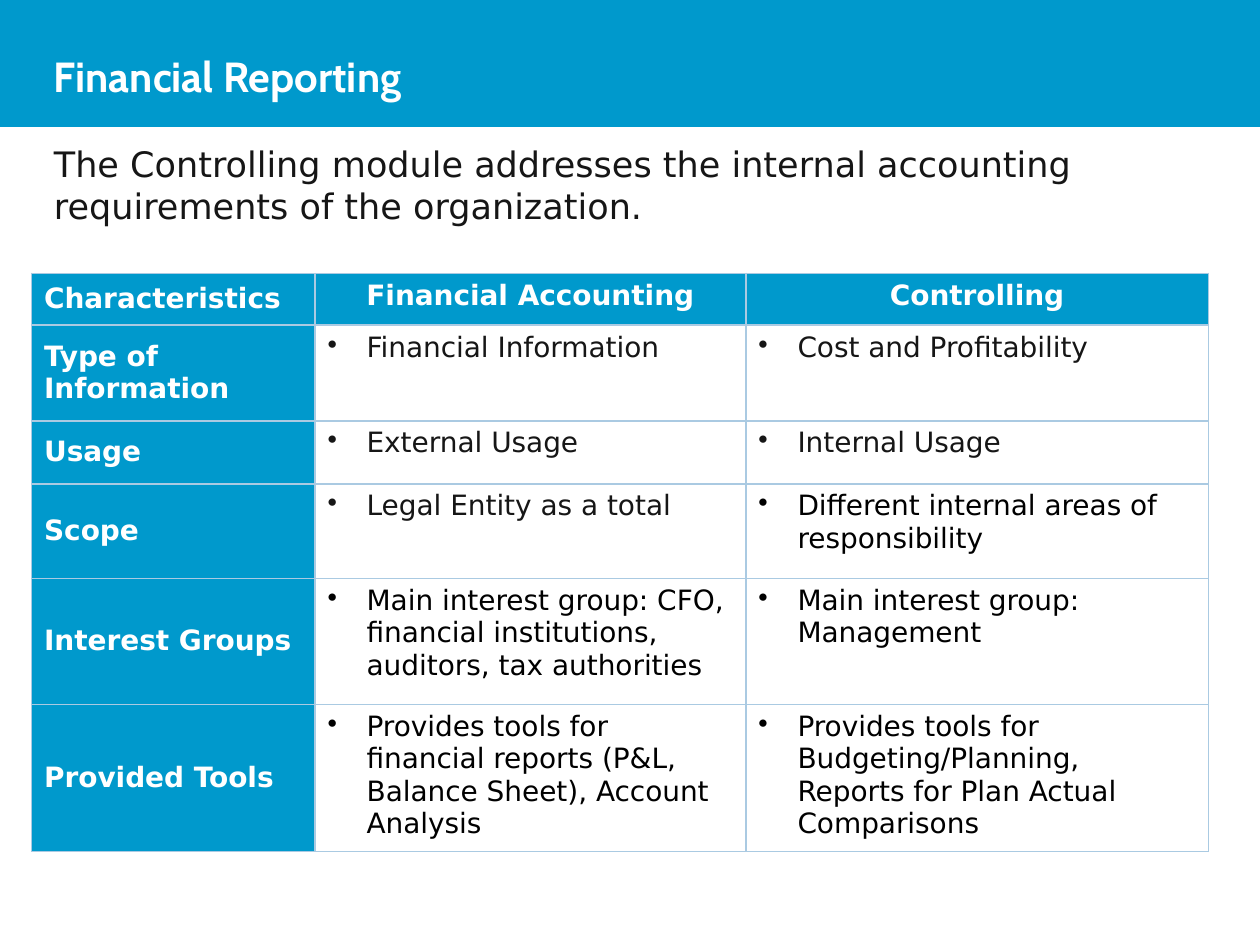
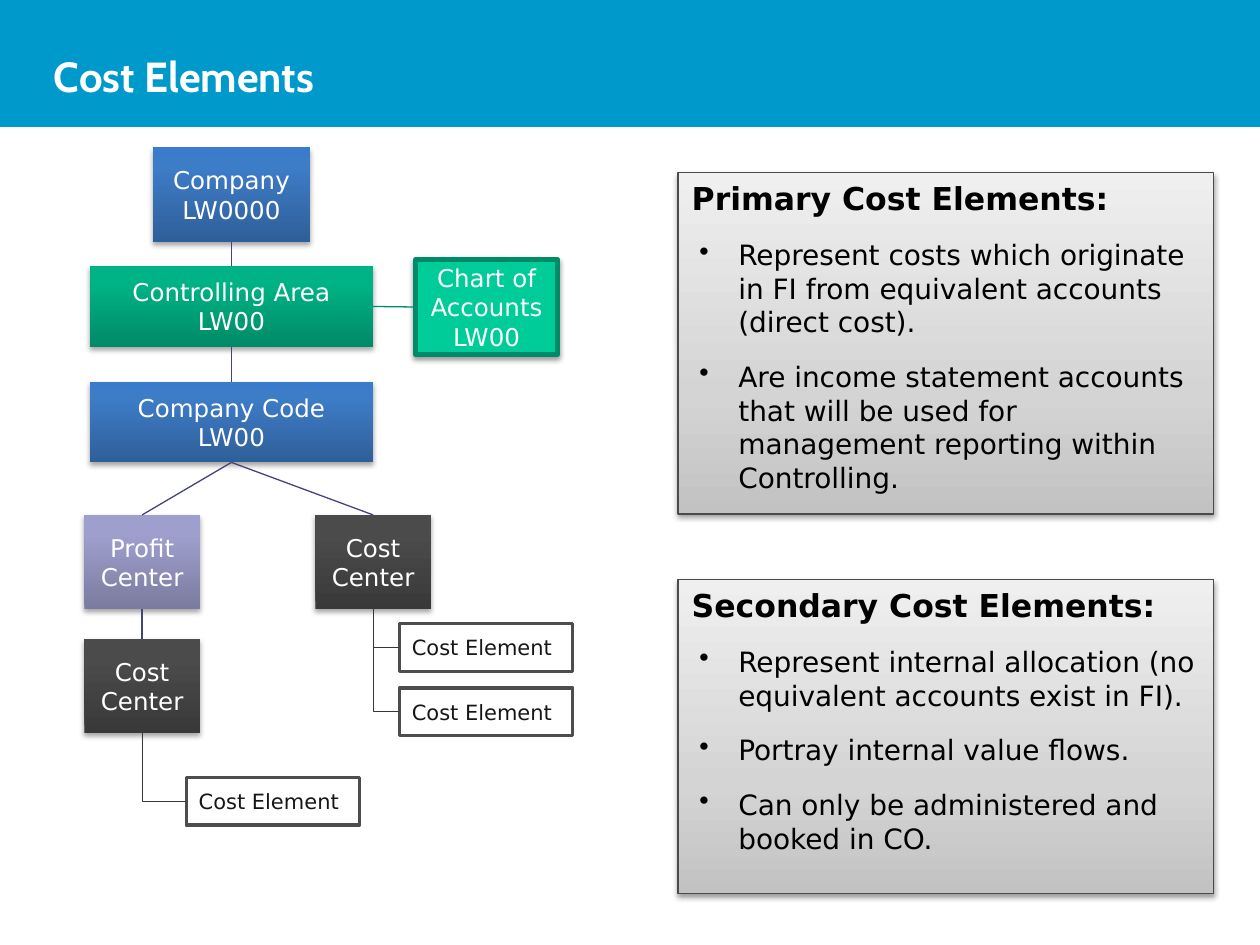
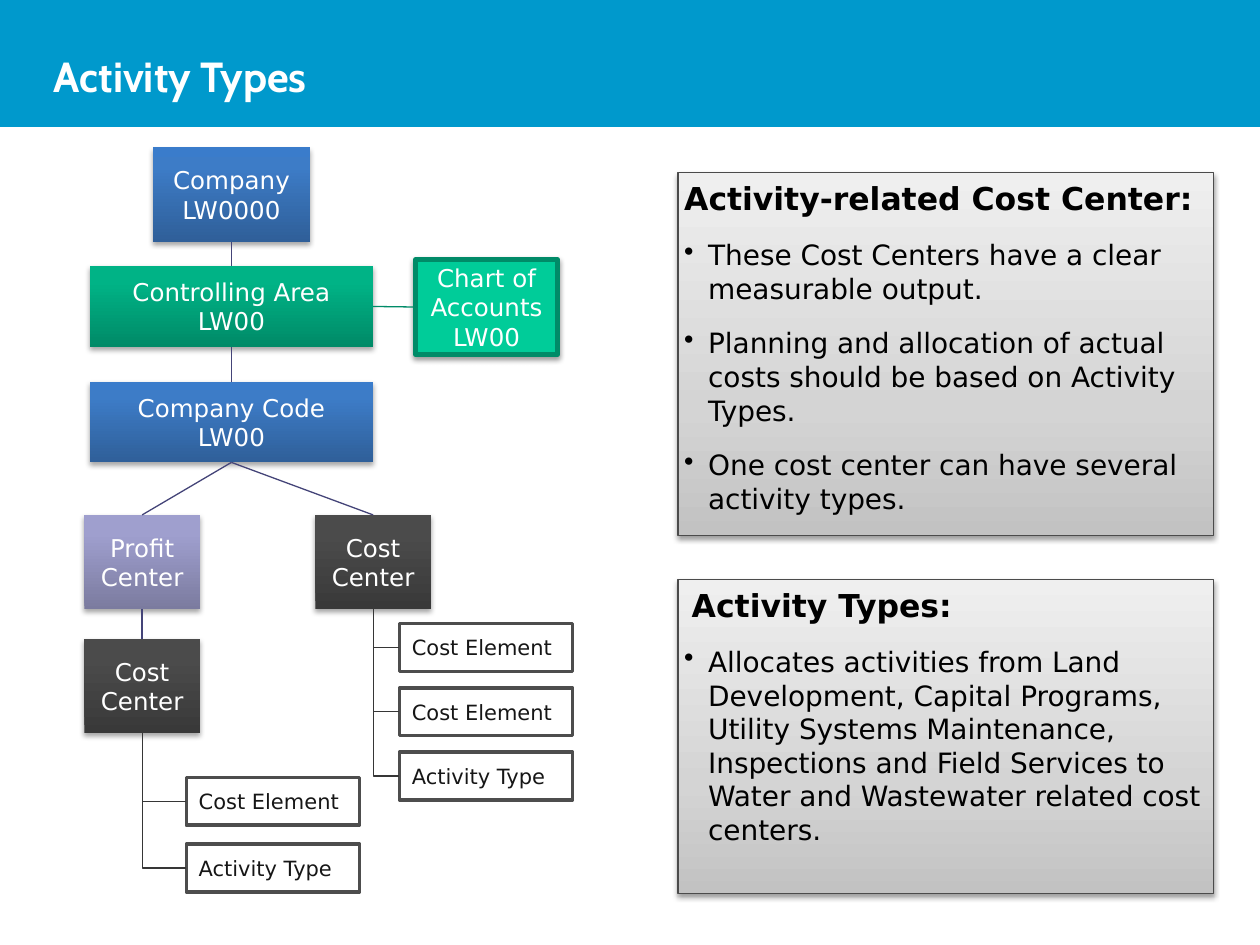
from collections import namedtuple

from lxml import etree
from pptx import Presentation
from pptx.dml.color import RGBColor
from pptx.enum.shapes import MSO_CONNECTOR, MSO_SHAPE
from pptx.enum.text import MSO_ANCHOR, PP_ALIGN
from pptx.oxml.ns import qn
from pptx.util import Inches, Pt

RECTANGLE = MSO_SHAPE.RECTANGLE
STRAIGHT, ELBOW = MSO_CONNECTOR.STRAIGHT, MSO_CONNECTOR.ELBOW
TOP, MIDDLE = MSO_ANCHOR.TOP, MSO_ANCHOR.MIDDLE
LEFT, CENTER = PP_ALIGN.LEFT, PP_ALIGN.CENTER
SIDE_TOP, SIDE_LEFT, SIDE_BOTTOM, SIDE_RIGHT = range(4)

TITLE_FONT, BODY_FONT = "Cabin", "DejaVu Sans"
COLORS = {
    "band": "0099CC", "white": "FFFFFF", "black": "000000", "ink": "161616",
    "grid": "AACAE2", "branch": "444478", "twig": "363636",
    "leaf_edge": "4D4D4D", "panel_edge": "4B4B4B",
    "chart": "00CC99", "chart_edge": "008B68",
}
# Gradients run from the bottom edge to the top edge
GRADIENTS = {
    "blue": [(0, "2F5F99"), (80, "3D7CC7"), (100, "3A7CCB")],
    "green": [(0, "008A67"), (80, "00B386"), (100, "00B486")],
    "violet": [(0, "7B7B9F"), (80, "9F9FCE"), (100, "9F9FD0")],
    "dark": [(0, "393939"), (80, "4B4B4B"), (100, "4B4B4B")],
    "panel": [(0, "C2C2C2"), (35, "D4D4D4"), (100, "EFEFEF")],
}

Box = namedtuple("Box", "left top width height")
SLIDE = Box(0, 0, 10, 7.5)
BAND = Box(0, 0, 10, 1)
TITLE = Box(0.33, 0.25, 9.31, 0.7)
INTRO = Box(0.33, 1.08, 9.33, 0.77)
TABLE = Box(0.25, 2.17, 9.34, 4.55)
TREE = Box(0.67, 1.17, 3.88, 5.92)
UPPER_PANEL = Box(5.38, 1.37, 4.25, 2.71)
TALL_PANEL = UPPER_PANEL._replace(height=2.88)
LOWER_PANEL = Box(5.38, 4.6, 4.25, 2.49)
TREE_CELL = 1 / 24  # side of one grid cell of the tree, in inches


# ---- Shared helpers ----
def color(name):
    return RGBColor.from_string(COLORS[name])


def inches(box):
    return [Inches(value) for value in box]


def add_span(para, text, size, tint, bold=False, font=BODY_FONT):
    span = para.add_run()
    span.text = text
    span.font.size, span.font.name, span.font.bold = Pt(size), font, bold
    span.font.color.rgb = color(tint)


def set_indent(para, margin, hanging=0.0, bullet=False):
    properties = para._p.get_or_add_pPr()
    properties.set("marL", str(Inches(margin)))
    properties.set("indent", str(-Inches(hanging)))
    if bullet:
        etree.SubElement(properties, qn("a:buChar")).set("char", "•")


def add_text(page, box, text, size, tint, **style):
    frame = page.shapes.add_textbox(*inches(box)).text_frame
    frame.word_wrap = True
    add_span(frame.paragraphs[0], text, size, tint, **style)
    return frame


def fill_gradient(shape, stops):
    shape.fill.gradient()
    shape.fill.gradient_angle = 90
    stop_list = shape._element.spPr.find(qn("a:gradFill")).find(qn("a:gsLst"))
    for stop in list(stop_list):
        stop_list.remove(stop)
    for position, value in stops:
        stop = etree.SubElement(stop_list, qn("a:gs"), pos=str(position * 1000))
        etree.SubElement(stop, qn("a:srgbClr"), val=value)


def add_shadow(shape, distance, opacity):
    effects = shape._element.spPr.find(qn("a:effectLst"))
    shadow = etree.SubElement(
        effects, qn("a:outerShdw"), blurRad=str(Pt(3.1)), dist=str(Pt(distance)),
        dir="5400000", rotWithShape="0")
    tint = etree.SubElement(shadow, qn("a:srgbClr"), val=COLORS["black"])
    etree.SubElement(tint, qn("a:alpha"), val=str(opacity * 1000))


def add_block(page, box, fill, edge=None, edge_width=0.75):
    shape = page.shapes.add_shape(RECTANGLE, *inches(box))
    shape.shadow.inherit = False
    if fill in GRADIENTS:
        fill_gradient(shape, GRADIENTS[fill])
    else:
        shape.fill.solid()
        shape.fill.fore_color.rgb = color(fill)
    if edge:
        shape.line.color.rgb = color(edge)
        shape.line.width = Pt(edge_width)
    else:
        shape.line.fill.background()
    return shape


def add_line(page, kind, ends, tint):
    line = page.shapes.add_connector(kind, *ends)
    line.line.color.rgb = color(tint)
    line.line.width = Pt(0.75)
    etree.SubElement(line._element.spPr, qn("a:effectLst"))
    return line


def add_page(deck, title):
    page = deck.slides.add_slide(deck.slide_layouts[6])
    add_block(page, BAND, "band", "band")
    frame = add_text(page, TITLE, title, 24, "white", bold=True, font=TITLE_FONT)
    frame.vertical_anchor = MIDDLE
    return page


# ---- Comparison table ----
TABLE_COLUMNS = [2.25, 3.42, 3.67]
TABLE_ROWS = [0.41, 0.76, 0.5, 0.75, 1, 1.13]
TABLE_HEADS = ["Characteristics", "Financial Accounting", "Controlling"]
TABLE_BODY = [
    ("Type of Information", ("Financial Information", "ink"),
     ("Cost and Profitability", "ink")),
    ("Usage", ("External Usage", "ink"), ("Internal Usage", "ink")),
    ("Scope", ("Legal Entity as a total", "ink"),
     ("Different internal areas of responsibility", "black")),
    ("Interest Groups",
     ("Main interest group: CFO, financial institutions, auditors, tax authorities",
      "black"),
     ("Main interest group: Management", "black")),
    ("Provided Tools",
     ("Provides tools for financial reports (P&L, Balance Sheet), Account Analysis",
      "black"),
     ("Provides tools for Budgeting/Planning, Reports for Plan Actual Comparisons",
      "black")),
]


def add_borders(cell):
    properties = cell._tc.get_or_add_tcPr()
    for side in ("lnL", "lnR", "lnT", "lnB"):
        border = etree.SubElement(properties, qn("a:" + side), w=str(Pt(1)))
        fill = etree.SubElement(border, qn("a:solidFill"))
        etree.SubElement(fill, qn("a:srgbClr"), val=COLORS["grid"])


def fill_head_cell(cell, text, centered):
    cell.fill.solid()
    cell.fill.fore_color.rgb = color("band")
    cell.vertical_anchor = TOP if centered else MIDDLE
    para = cell.text_frame.paragraphs[0]
    para.alignment = CENTER if centered else LEFT
    add_span(para, text, 16, "white", bold=True)


def fill_body_cell(cell, text, tint):
    cell.fill.background()
    para = cell.text_frame.paragraphs[0]
    set_indent(para, 0.31, 0.31, bullet=True)
    add_span(para, text, 16, tint)


def add_comparison(page, box):
    table = page.shapes.add_table(
        len(TABLE_ROWS), len(TABLE_COLUMNS), *inches(box)).table
    table.first_row = table.horz_banding = False
    for column, width in zip(table.columns, TABLE_COLUMNS):
        column.width = Inches(width)
    for row, height in zip(table.rows, TABLE_ROWS):
        row.height = Inches(height)
    for cell in table.iter_cells():
        add_borders(cell)
    for index, text in enumerate(TABLE_HEADS):
        fill_head_cell(table.cell(0, index), text, centered=index > 0)
    for row, (label, *entries) in enumerate(TABLE_BODY, 1):
        fill_head_cell(table.cell(row, 0), label, centered=False)
        for column, entry in enumerate(entries, 1):
            fill_body_cell(table.cell(row, column), *entry)


# ---- Organisation tree ----
# name: (column, row, columns wide, rows high), fill, lines of text
UNITS = {
    "company": ((13, 0, 30, 18), "blue", ["Company", "LW0000"]),
    "area": ((1, 22.6, 54, 15.4), "green", ["Controlling Area", "LW00"]),
    "code": ((1, 44.6, 54, 15.4), "blue", ["Company Code", "LW00"]),
    "profit": ((0, 70, 22, 18), "violet", ["Profit Center"]),
    "right_cost": ((44, 70, 22, 18), "dark", ["Cost Center"]),
    "left_cost": ((0, 93.6, 22, 18), "dark", ["Cost Center"]),
    "chart": ((63.1, 21.4, 27, 18), "chart", ["Chart of Accounts LW00"]),
}
BRANCHES = [
    ("code", SIDE_TOP, "area", SIDE_BOTTOM, "branch"),
    ("area", SIDE_TOP, "company", SIDE_BOTTOM, "branch"),
    ("left_cost", SIDE_TOP, "profit", SIDE_BOTTOM, "branch"),
    ("profit", SIDE_TOP, "code", SIDE_BOTTOM, "branch"),
    ("right_cost", SIDE_TOP, "code", SIDE_BOTTOM, "branch"),
    ("chart", SIDE_LEFT, "area", SIDE_RIGHT, "chart_edge"),
]
# parent: column, first row and row step of its leaves
LEAF_STACKS = {"right_cost": (60, 90.7, 12.25), "left_cost": (19.4, 120, 12.7)}
LEAF_SIZE = (33, 9.1)


def tree_cell_box(box, column, row, columns, rows):
    return Box(box.left + column * TREE_CELL, box.top + row * TREE_CELL,
               columns * TREE_CELL, rows * TREE_CELL)


def add_unit(page, box, fill, lines):
    if fill in GRADIENTS:
        unit = add_block(page, box, fill)
        add_shadow(unit, 1.8, 35)
    else:
        unit = add_block(page, box, fill, "chart_edge", 3)
        add_shadow(unit, 1.6, 38)
    frame = unit.text_frame
    frame.vertical_anchor = MIDDLE
    for index, text in enumerate(lines):
        para = frame.add_paragraph() if index else frame.paragraphs[0]
        para.alignment = CENTER
        add_span(para, text, 14, "white")
    return unit


def add_leaf(page, box, text):
    leaf = add_block(page, box, "white", "leaf_edge", 2)
    leaf.text_frame.vertical_anchor = MIDDLE
    para = leaf.text_frame.paragraphs[0]
    para.alignment = LEFT
    add_span(para, text, 12, "ink")
    return leaf


def add_twig(page, parent, leaf):
    """Draw a line down from the parent, then right to the leaf."""
    start_x, start_y = parent.left + parent.width // 2, parent.top + parent.height
    run, drop = leaf.left - start_x, leaf.top + leaf.height // 2 - start_y
    # The frame lies on its side: its width is the drop, turned about its centre
    left, top = start_x + (run - drop) // 2, start_y + (drop - run) // 2
    twig = add_line(page, ELBOW, (left, top, left + drop, top + run), "twig")
    properties = twig._element.spPr
    properties.find(qn("a:prstGeom")).set("prst", "bentConnector2")
    frame = properties.find(qn("a:xfrm"))
    frame.set("rot", "16200000")
    frame.set("flipH", "1")


def add_tree(page, box, leaves):
    units = {name: add_unit(page, tree_cell_box(box, *place), fill, lines)
             for name, (place, fill, lines) in UNITS.items()}
    for child, child_side, parent, parent_side, tint in BRANCHES:
        branch = add_line(page, STRAIGHT, (0, 0, 0, 0), tint)
        branch.begin_connect(units[child], child_side)
        branch.end_connect(units[parent], parent_side)
    for parent, texts in leaves.items():
        column, first_row, step = LEAF_STACKS[parent]
        for index, text in enumerate(texts):
            place = tree_cell_box(box, column, first_row + index * step, *LEAF_SIZE)
            add_twig(page, units[parent], add_leaf(page, place, text))


# ---- Explanation panels ----
def add_panel(page, box, heading, points, heading_indent=0.06, point_indent=0.19):
    panel = add_block(page, box, "panel", "panel_edge")
    add_shadow(panel, 1.6, 38)
    frame = panel.text_frame
    frame.vertical_anchor = TOP
    frame.margin_left = frame.margin_right = Inches(0.05)
    frame.margin_top = frame.margin_bottom = Inches(0.05)
    title = frame.paragraphs[0]
    title.alignment, title.space_after = LEFT, Pt(6)
    set_indent(title, heading_indent)
    add_span(title, heading, 18, "black", bold=True)
    hanging = min(point_indent, 0.31)
    for point in points:
        para = frame.add_paragraph()
        para.alignment = LEFT
        para.space_before = para.space_after = Pt(6)
        set_indent(para, point_indent, hanging, bullet=True)
        add_span(para, point, 16, "black")


# ---- Slides ----
def build_reporting(deck):
    page = add_page(deck, "Financial Reporting")
    add_text(page, INTRO, "The Controlling module addresses the internal accounting "
             "requirements of the organization.", 20, "ink")
    add_comparison(page, TABLE)


def build_cost_elements(deck):
    page = add_page(deck, "Cost Elements")
    add_panel(page, UPPER_PANEL, "Primary Cost Elements:", [
        "Represent costs which originate in FI from equivalent accounts (direct cost).",
        "Are income statement accounts that will be used for management reporting "
        "within Controlling.",
    ], point_indent=0.43)
    add_panel(page, LOWER_PANEL, "Secondary Cost Elements:", [
        "Represent internal allocation (no equivalent accounts exist in FI).",
        "Portray internal value flows.",
        "Can only be administered and booked in CO.",
    ], point_indent=0.43)
    add_tree(page, TREE, {"right_cost": ["Cost Element"] * 2,
                          "left_cost": ["Cost Element"]})


def build_activity_types(deck):
    page = add_page(deck, "Activity Types")
    add_panel(page, TALL_PANEL, "Activity-related Cost Center:", [
        "These Cost Centers have a clear measurable output.",
        "Planning and allocation of actual costs should be based on Activity Types.",
        "One cost center can have several activity types.",
    ], heading_indent=0)
    add_panel(page, LOWER_PANEL, "Activity Types:", [
        "Allocates activities from Land Development, Capital Programs, Utility Systems "
        "Maintenance, Inspections and Field Services to Water and Wastewater related "
        "cost centers.",
    ])
    add_tree(page, TREE, {"right_cost": ["Cost Element"] * 2 + ["Activity Type"],
                          "left_cost": ["Cost Element", "Activity Type"]})


def main():
    deck = Presentation()
    deck.slide_width, deck.slide_height = Inches(SLIDE.width), Inches(SLIDE.height)
    build_reporting(deck)
    build_cost_elements(deck)
    build_activity_types(deck)
    deck.save("out.pptx")


if __name__ == "__main__":
    main()
